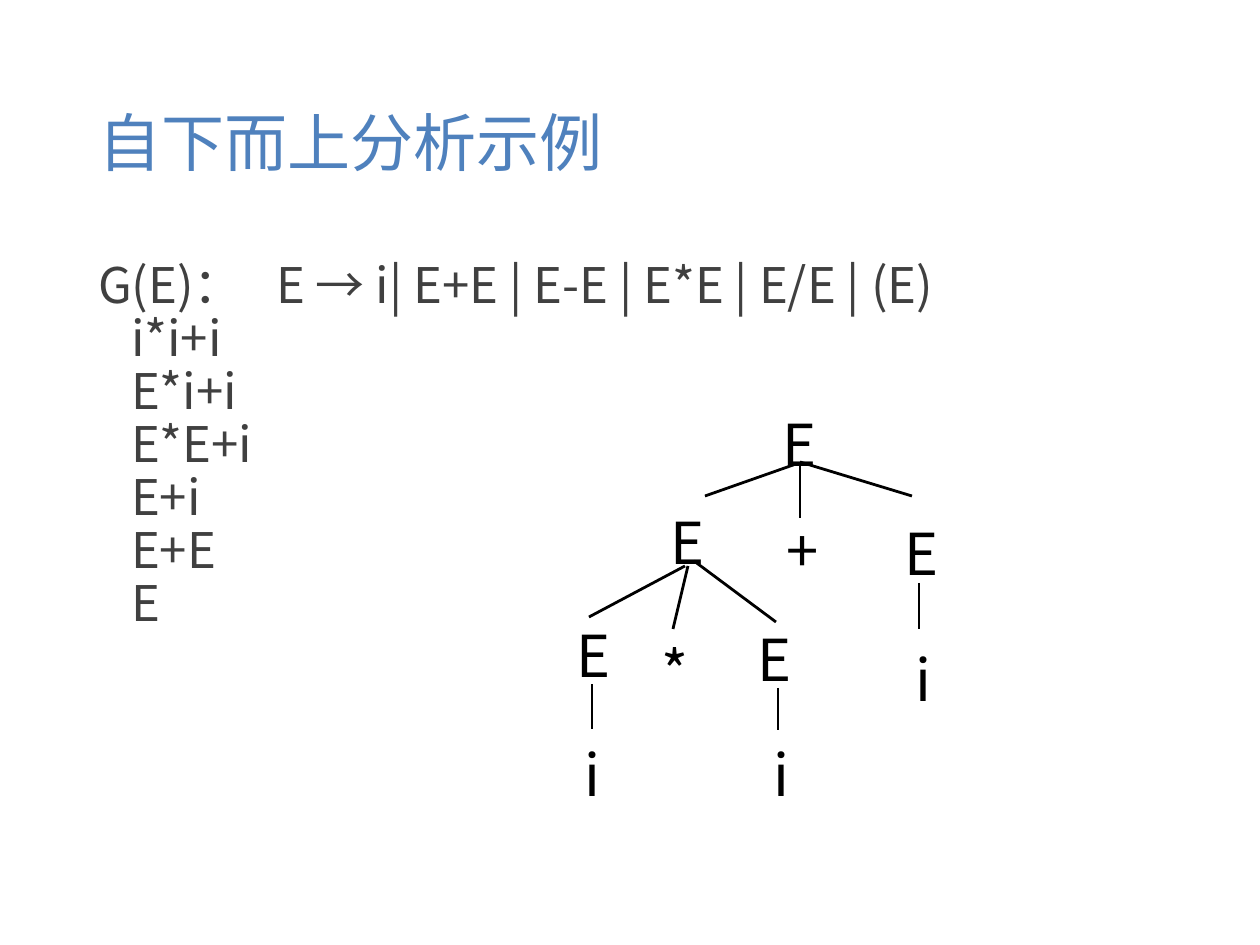
from pptx import Presentation
from pptx.dml.color import RGBColor
from pptx.enum.shapes import MSO_CONNECTOR
from pptx.enum.text import MSO_ANCHOR, MSO_AUTO_SIZE, PP_ALIGN
from pptx.oxml.ns import qn
from pptx.util import Emu, Pt
from lxml.etree import SubElement

# Content
TITLE = "自下而上分析示例"
GRAMMAR = "G(E)：\tE → i| E+E | E-E | E*E | E/E | (E)"
STEPS = ["i*i+i", "E*i+i", "E*E+i", "E+i", "E+E", "E"]

# Parse tree: symbol, centre x, top y
NODES = [
    ("E", 800, 405),
    ("E", 688, 503), ("+", 802, 511), ("E", 922, 514),
    ("E", 593, 616), ("*", 675, 632), ("E", 774, 620), ("i", 923, 640),
    ("i", 592, 735), ("i", 781, 735),
]
# Branches: start x, start y, end x, end y
BRANCHES = [
    (796, 464, 705, 496), (800, 464, 800, 518), (800, 462, 912, 496),
    (685, 566, 589, 617), (688, 566, 673, 629), (694, 561, 776, 622),
    (919, 583, 919, 629), (592, 684, 592, 729), (778, 688, 778, 730),
]

# Format
PX = 8000
FONT = "Noto Sans CJK SC"
COLORS = {"title": "4F81BD", "body": "404040", "tree": "000000"}
SIZES = {"title": 39.7, "body": 30.9, "tree": 36.4}
LINE_PITCH = {"body": 33.4, "tree": 46}
STEP_INDENT, GRAMMAR_TAB = 33, 178
NODE_WIDTH, NODE_HEIGHT = 40, 70


def px(value):
    return Emu(value * PX)


def set_frame(frame, **settings):
    for name, value in settings.items():
        setattr(frame, name, value)


def write(paragraph, text, role):
    run = paragraph.add_run()
    run.text = text
    run.font.size = Pt(SIZES[role])
    run.font.name = FONT
    run.font.color.rgb = RGBColor.from_string(COLORS[role])
    SubElement(run.font._element, qn("a:ea")).set("typeface", FONT)
    if role in LINE_PITCH:
        paragraph.line_spacing = Pt(LINE_PITCH[role])


presentation = Presentation()
presentation.slide_width, presentation.slide_height = px(1260), px(945)
slide = presentation.slides.add_slide(presentation.slide_layouts[5])
shapes = slide.shapes

# Title
title = shapes.title
title.left, title.top, title.width, title.height = map(px, (87, 50, 1087, 183))
set_frame(title.text_frame, word_wrap=True, auto_size=MSO_AUTO_SIZE.NONE,
          vertical_anchor=MSO_ANCHOR.MIDDLE)
heading = title.text_frame.paragraphs[0]
heading.alignment = PP_ALIGN.LEFT
write(heading, TITLE, "title")

# Grammar and reduction steps
body = shapes.add_textbox(*map(px, (87, 255, 1087, 597))).text_frame
body.word_wrap = True
grammar = body.paragraphs[0]
tabs = SubElement(grammar._p.get_or_add_pPr(), qn("a:tabLst"))
tab = SubElement(tabs, qn("a:tab"))
tab.set("pos", str(px(GRAMMAR_TAB)))
tab.set("algn", "l")
write(grammar, GRAMMAR, "body")
for step in STEPS:
    paragraph = body.add_paragraph()
    paragraph._p.get_or_add_pPr().set("marL", str(px(STEP_INDENT)))
    write(paragraph, step, "body")

# Tree branches
for branch in BRANCHES:
    line = shapes.add_connector(MSO_CONNECTOR.STRAIGHT, *map(px, branch))
    line.line.width = Pt(1.75)
    line.line.color.rgb = RGBColor.from_string(COLORS["tree"])
    SubElement(line._element.spPr, qn("a:effectLst"))

# Tree nodes
for symbol, center, top in NODES:
    box = (center - NODE_WIDTH // 2, top, NODE_WIDTH, NODE_HEIGHT)
    frame = shapes.add_textbox(*map(px, box)).text_frame
    set_frame(frame, word_wrap=True, margin_left=0, margin_right=0,
              margin_top=0, margin_bottom=0)
    label = frame.paragraphs[0]
    label.alignment = PP_ALIGN.CENTER
    write(label, symbol, "tree")

presentation.save("out.pptx")
